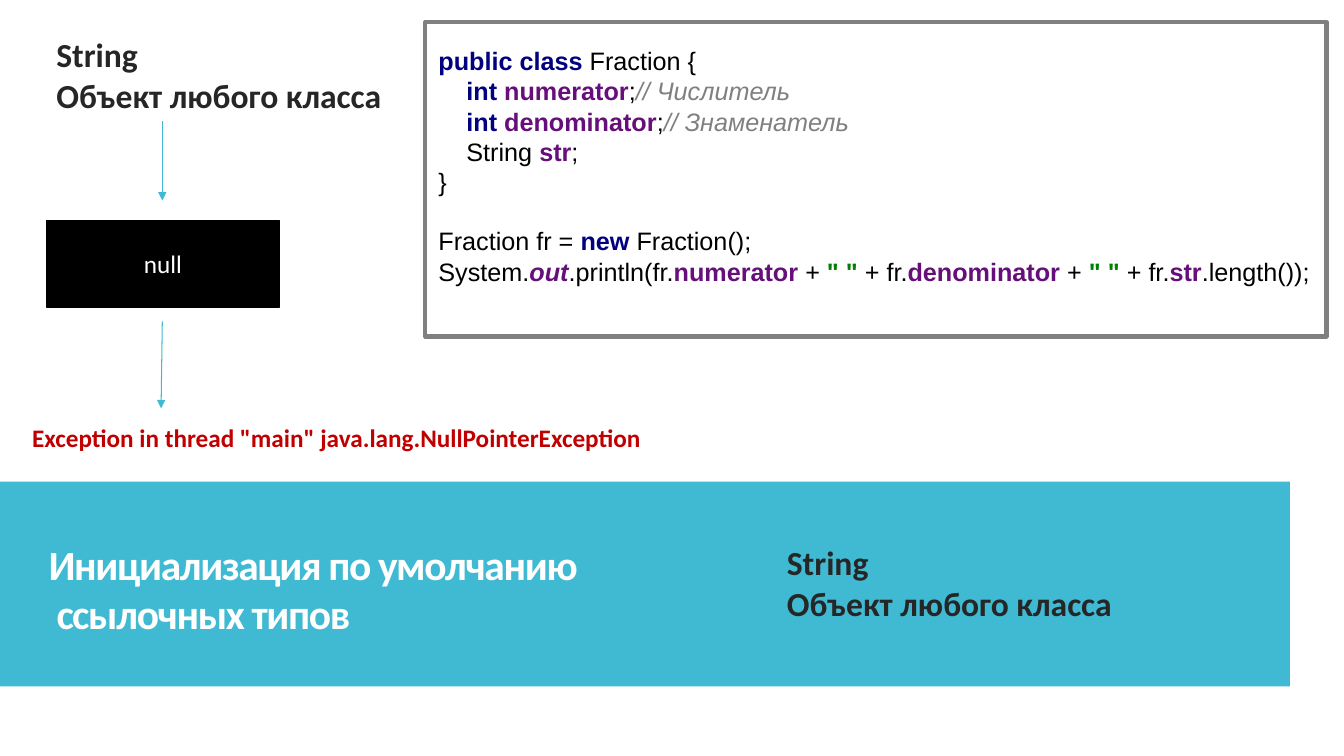
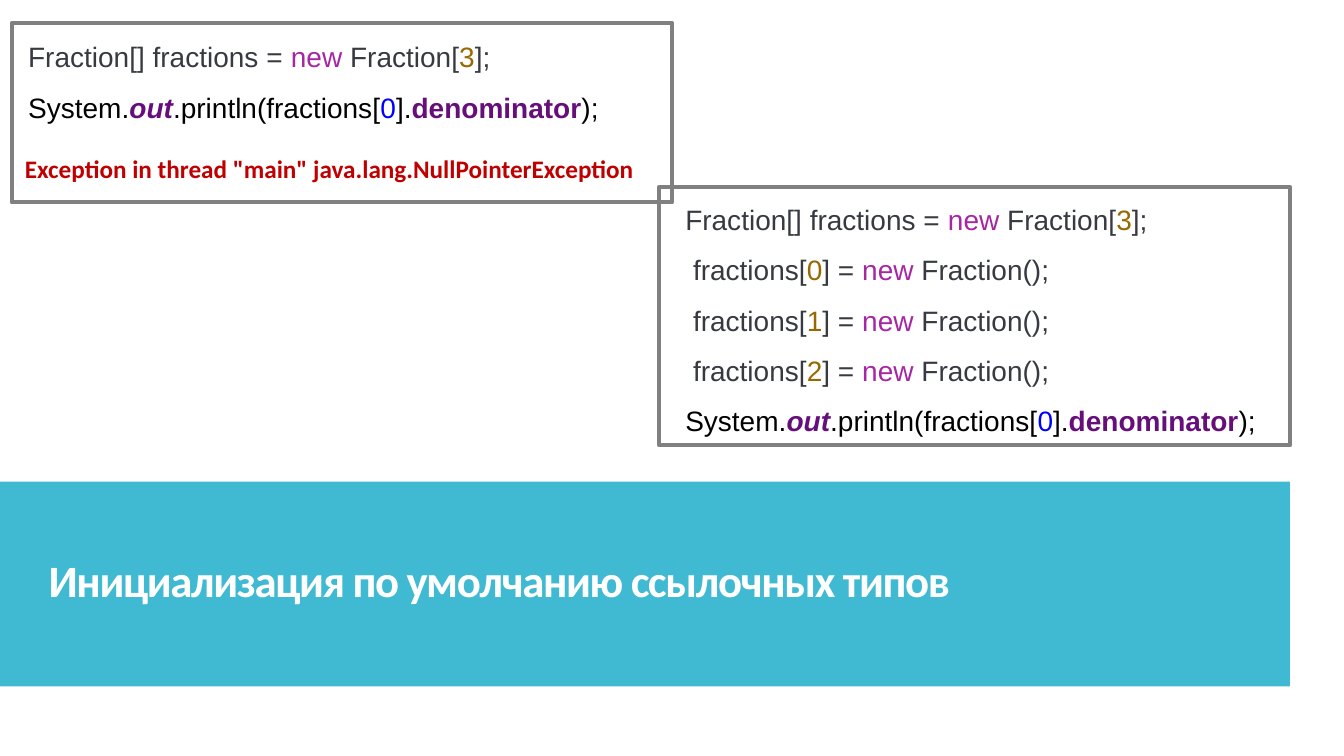
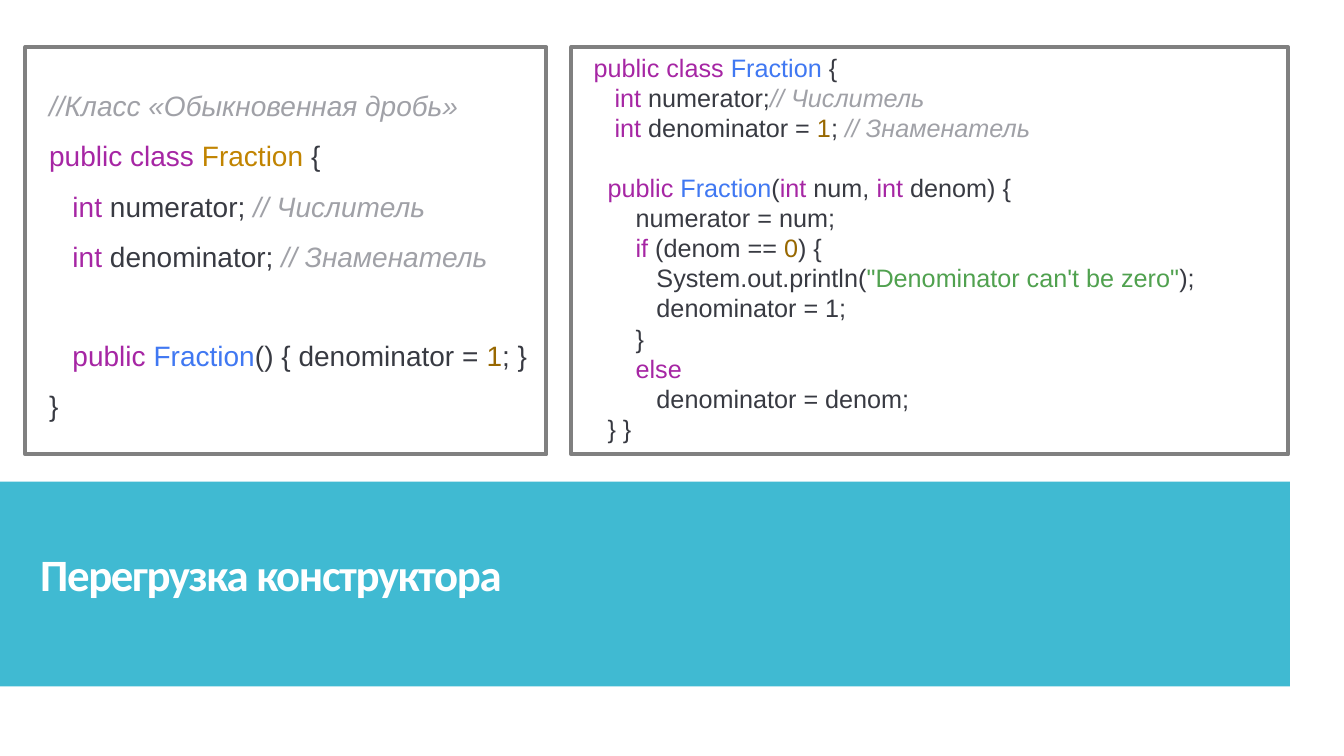
from lxml import etree
from pptx import Presentation
from pptx.dml.color import RGBColor
from pptx.enum.shapes import MSO_CONNECTOR, MSO_SHAPE
from pptx.enum.text import MSO_ANCHOR, MSO_AUTO_SIZE, PP_ALIGN
from pptx.oxml.ns import qn
from pptx.util import Cm, Pt

RECT = MSO_SHAPE.RECTANGLE
LINE = MSO_CONNECTOR.STRAIGHT
TOP, MID, LOW = MSO_ANCHOR.TOP, MSO_ANCHOR.MIDDLE, MSO_ANCHOR.BOTTOM
LEFT, CENTER = PP_ALIGN.LEFT, PP_ALIGN.CENTER
FIXED = MSO_AUTO_SIZE.NONE

COLORS = {
    "band": "40BAD2", "white": "FFFFFF", "black": "000000", "label": "262626",
    "error": "C00000", "frame": "808080", "ink": "383A42", "navy": "000080",
    "plum": "660E7A", "gray": "808080", "green": "008000", "blue": "0000FF",
    "violet": "A626A4", "brown": "986801", "mist": "A0A1A7", "gold": "C18401",
    "sky": "4078F2", "leaf": "50A14F",
}
# Code styles: colour, bold, italic
STYLES = {
    "key": ("navy", True, False), "field": ("plum", True, False),
    "static": ("plum", True, True), "note": ("gray", False, True),
    "quote": ("green", True, False), "zero": ("blue", False, False),
    "plain": ("black", False, False), "word": ("violet", False, False),
    "num": ("brown", False, False), "hint": ("mist", False, True),
    "type": ("gold", False, False), "name": ("sky", False, False),
    "text": ("leaf", False, False),
}

# Shared wording
KINDS = ["String", "Объект любого класса"]
ERROR = ['Exception in thread "main" java.lang.NullPointerException']

# Code: a line is a list of plain strings and (style, text) pairs
NULLS = [
    [("key", "public class "), "Fraction {"],
    ["    ", ("key", "int "), ("field", "numerator"), ";", ("note", "// Числитель")],
    ["    ", ("key", "int "), ("field", "denominator"), ";", ("note", "// Знаменатель")],
    ["    String ", ("field", "str"), ";"],
    ["}"],
    [],
    ["Fraction fr = ", ("key", "new "), "Fraction();"],
    ["System.", ("static", "out"), ".println(fr.", ("field", "numerator "), "+ ",
     ("quote", '" " '), "+ fr.", ("field", "denominator "), "+ ",
     ("quote", '" " '), "+ fr.", ("field", "str"), ".length());"],
]
ARRAY = ["Fraction[] fractions = ", ("word", "new "), "Fraction[", ("num", "3"), "];"]
PRINT = [("plain", "System."), ("static", "out"), ("plain", ".println(fractions["),
         ("zero", "0"), ("plain", "]."), ("field", "denominator"), ("plain", ");")]
FILLS = [[" fractions[", ("num", str(i)), "] = ", ("word", "new "), "Fraction();"]
         for i in range(3)]
EMPTY = [
    [("hint", "//Класс «Обыкновенная дробь»")],
    [("word", "public class "), ("type", "Fraction"), " {"],
    [("word", "   int"), " numerator; ", ("hint", "// Числитель")],
    [("word", "   int"), " denominator; ", ("hint", "// Знаменатель")],
    [],
    [("word", "   public "), ("name", "Fraction"), "() { denominator = ",
     ("num", "1"), "; }"],
    ["}"],
]
PARAMS = [
    [("word", "public class "), ("name", "Fraction"), " {"],
    [("word", "   int"), " numerator;", ("hint", "// Числитель")],
    [("word", "   int"), " denominator = ", ("num", "1"), "; ",
     ("hint", "// Знаменатель")],
    [],
    ["  ", ("word", "public "), ("name", "Fraction"), "(", ("word", "int"), " num, ",
     ("word", "int "), "denom) {"],
    ["      numerator = num;"],
    ["      ", ("word", "if"), " (denom == ", ("num", "0"), ") {"],
    ["         System.out.println(", ("text", '"Denominator can\'t be zero"'), ");"],
    ["         denominator = 1;"],
    ["      }"],
    ["      ", ("word", "else")],
    ["         denominator = denom;"],
    ["  } }"],
]

# Slides: boxes are left, top, width, height in cm
SLIDES = [
    {
        "title": ["Инициализация по умолчанию", " ссылочных типов"],
        "place": (0.97, 13.64, 15.49, 2.54),
        "look": {"size": 29.6, "space": 0.8},
        "labels": [(19.58, 13.54, 11.81, 2.31), (1.17, 0.74, 11.81, 2.31)],
        "error": (0.56, 10.52, 16.94, 1.02),
        "null": (1.17, 5.56, 5.87, 2.18),
        "arrows": [(4.09, 3.05, 4.09, 5.05), (4.09, 8.1, 4.06, 10.29)],
        "codes": [(NULLS, (10.8, 1.02, 22.53, 7.19), {"size": 18, "color": "black"})],
        "frames": [(10.72, 0.56, 22.71, 7.92)],
    },
    {
        "title": ["Инициализация по умолчанию ссылочных типов"],
        "place": (0.97, 13.64, 27.99, 1.78),
        "error": (0.38, 3.73, 16.94, 1.02),
        "codes": [
            ([ARRAY, PRINT], (0.46, 0.46, 16.94, 3.94), {"size": 20, "space": 1.5}),
            ([ARRAY, *FILLS, PRINT], (17.02, 4.55, 15.52, 7.8),
             {"size": 20, "space": 1.5}),
        ],
        "frames": [(0.3, 0.58, 16.64, 4.52), (16.61, 4.72, 15.9, 6.5)],
    },
    {
        "title": ["Перегрузка конструктора"],
        "place": (0.76, 13.49, 28.37, 1.78),
        "codes": [
            (EMPTY, (0.99, 1.68, 14.02, 9.07), {"size": 20, "space": 1.5}),
            (PARAMS, (14.71, 1.19, 17.48, 10.26), {"size": 18}),
        ],
        "frames": [(0.64, 1.19, 13.13, 10.26), (14.4, 1.19, 18.06, 10.26)],
    },
]


def rgb(name):
    return RGBColor.from_string(COLORS[name])


def cms(box):
    return [Cm(n) for n in box]


def write(shape, lines, size=18, color="ink", font="Calibri", bold=False,
          space=1.0, after=0, track=0, align=LEFT, anchor=TOP):
    """Fill a shape with lines; an empty line becomes space before the next."""
    frame = shape.text_frame
    frame.word_wrap = True
    frame.auto_size = FIXED
    frame.vertical_anchor = anchor
    para, gap = frame.paragraphs[0], 0
    for i, line in enumerate(lines):
        if not line:
            gap += size * 1.15 * space
            continue
        if i:
            para = frame.add_paragraph()
        para.alignment = align
        para.line_spacing = space
        para.space_before, para.space_after = Pt(gap), Pt(after)
        gap = 0
        for part in [line] if isinstance(line, str) else line:
            run = para.add_run()
            tint, heavy, slant = color, bold, False
            if isinstance(part, tuple):
                style, part = part
                tint, heavy, slant = STYLES[style]
            run.text = part
            run.font.name, run.font.size = font, Pt(size)
            run.font.bold, run.font.italic = heavy, slant
            run.font.color.rgb = rgb(tint)
            if track:
                run.font._element.set("spc", str(track))


def add_text(slide, box, lines, **look):
    write(slide.shapes.add_textbox(*cms(box)), lines, **look)


def add_rect(slide, box, fill=None, line=None, width=1.0):
    rect = slide.shapes.add_shape(RECT, *cms(box))
    rect.shadow.inherit = False
    if fill:
        rect.fill.solid()
        rect.fill.fore_color.rgb = rgb(fill)
    else:
        rect.fill.background()
    if line:
        rect.line.color.rgb = rgb(line)
        rect.line.width = Pt(width)
    else:
        rect.line.fill.background()
    return rect


def add_arrow(slide, ends):
    arrow = slide.shapes.add_connector(LINE, *cms(ends))
    arrow.line.color.rgb = rgb("band")
    arrow.line.width = Pt(0.75)
    etree.SubElement(arrow.line._get_or_add_ln(), qn("a:tailEnd"), type="triangle")
    etree.SubElement(arrow._element.spPr, qn("a:effectLst"))


def add_base(deck, lines, place, look):
    """Start a slide with the band and the title on it."""
    slide = deck.slides.add_slide(deck.slide_layouts[5])
    band = add_rect(slide, (0, 12.14, 32.51, 5.16), fill="band")
    slide.shapes._spTree.insert(2, band._element)
    title = slide.shapes.title
    title.left, title.top, title.width, title.height = cms(place)
    style = {"size": 32, "space": 0.9, **look}
    write(title, lines, color="white", bold=True, after=6, track=-100,
          anchor=LOW, **style)
    return slide


def main():
    deck = Presentation()
    deck.slide_width, deck.slide_height = Cm(33.87), Cm(19.05)
    for page in SLIDES:
        slide = add_base(deck, page["title"], page["place"], page.get("look", {}))
        # Diagram
        for box in page.get("labels", []):
            add_text(slide, box, KINDS, size=24, color="label", bold=True)
        if "null" in page:
            rect = add_rect(slide, page["null"], "black", "black", 0.85)
            write(rect, ["null"], color="white", align=CENTER, anchor=MID)
        for ends in page.get("arrows", []):
            add_arrow(slide, ends)
        # Code and its frames
        for lines, box, look in page["codes"]:
            add_text(slide, box, lines, font="Arial", **look)
        if "error" in page:
            add_text(slide, page["error"], ERROR, color="error", bold=True)
        for box in page["frames"]:
            add_rect(slide, box, line="frame", width=3)
    deck.save("out.pptx")


if __name__ == "__main__":
    main()
